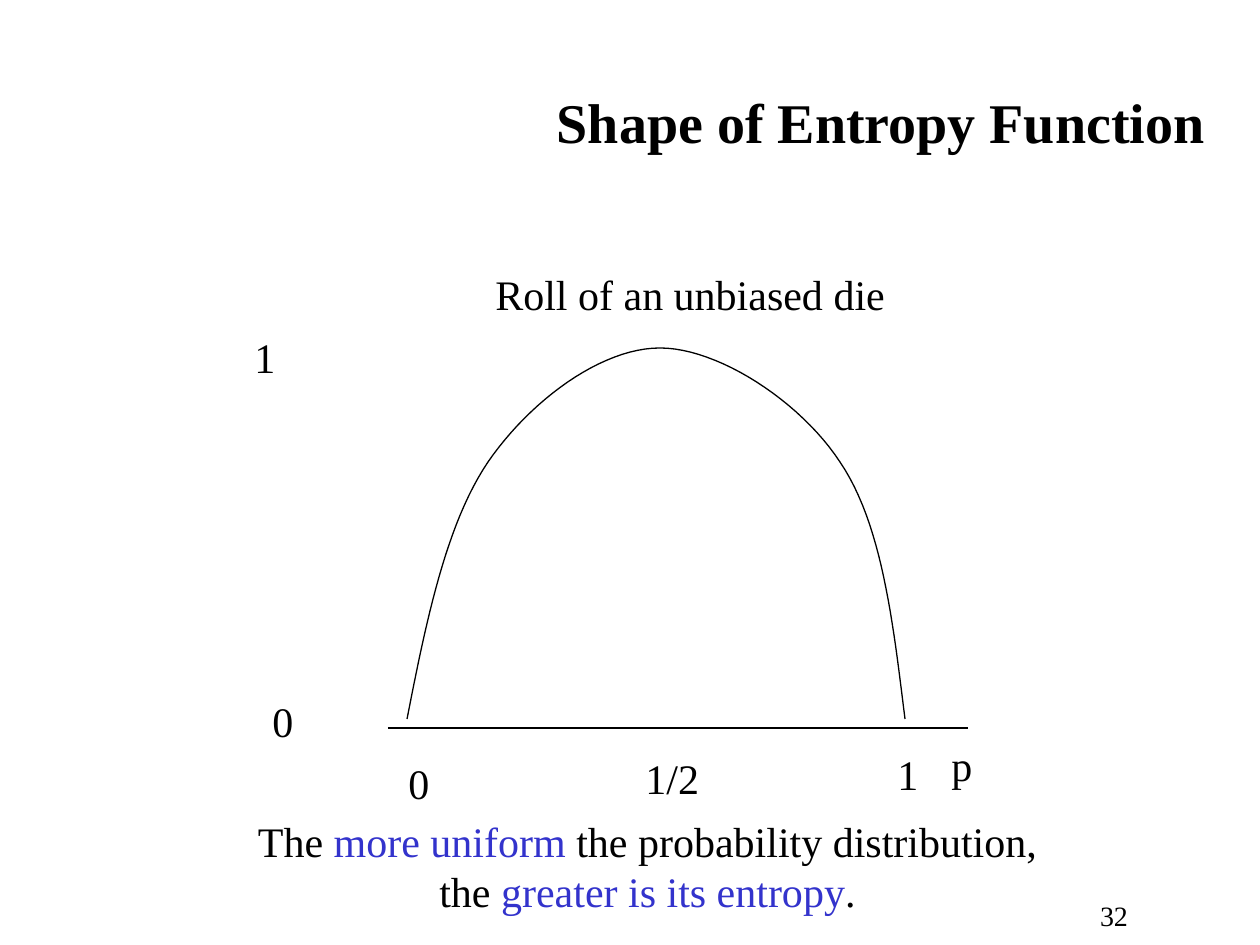
from lxml import etree
from pptx import Presentation
from pptx import util as u
from pptx.dml.color import RGBColor
from pptx.enum import shapes, text
from pptx.oxml.ns import qn

PX = 914400 / 126
FONT = "Times New Roman"
BLACK, BLUE = "000000", "3333CC"
LEFT, CENTER, RIGHT = text.PP_ALIGN.LEFT, text.PP_ALIGN.CENTER, text.PP_ALIGN.RIGHT


def px(length):
    """Convert pixels to EMU."""
    return u.Emu(round(length * PX))


def color(value):
    """Return the colour for a hex string."""
    return RGBColor.from_string(value)


def format_run(run, size, value=BLACK, bold=False):
    """Set the font, size, colour and weight of a run."""
    run.font.name, run.font.size, run.font.bold = FONT, u.Pt(size), bold
    run.font.color.rgb = color(value)


def format_line(shape):
    """Give a shape a thin black line."""
    shape.line.color.rgb = color(BLACK)
    shape.line.width = u.Pt(0.75)


def add_text(slide, box, lines, size=24, align=LEFT):
    """Add an unwrapped text box whose lines are lists of (text, colour)."""
    frame = slide.shapes.add_textbox(*map(px, box)).text_frame
    frame.word_wrap = False
    frame.auto_size = text.MSO_AUTO_SIZE.SHAPE_TO_FIT_TEXT
    for index, line in enumerate(lines):
        paragraph = frame.add_paragraph() if index else frame.paragraphs[0]
        paragraph.alignment = align
        for words, value in line:
            run = paragraph.add_run()
            run.text = words
            format_run(run, size, value)


def add_title(slide, box, words):
    """Place and format the title placeholder."""
    title = slide.shapes.title
    title.left, title.top, title.width, title.height = map(px, box)
    frame = title.text_frame
    frame.text = words
    frame.vertical_anchor = text.MSO_ANCHOR.MIDDLE
    paragraph = frame.paragraphs[0]
    paragraph.alignment = RIGHT
    format_run(paragraph.runs[0], 32, bold=True)


def bezier_points(start, segments, steps=24):
    """Return points along a chain of cubic Bézier segments."""
    points = [start]
    for first, second, end in segments:
        for step in range(1, steps + 1):
            t = step / steps
            weights = ((1 - t) ** 3, 3 * t * (1 - t) ** 2, 3 * t * t * (1 - t), t ** 3)
            corners = (start, first, second, end)
            points.append(tuple(sum(w * c[axis] for w, c in zip(weights, corners))
                                for axis in (0, 1)))
        start = end
    return points


def add_entropy_graph(slide, box):
    """Draw the entropy curve, its axis and the axis labels."""
    left, top, width, _ = box
    segments = [
        ((184, 297), (204, 199), (246, 137)),
        ((288, 76), (359, 23), (418, 23)),
        ((476, 23), (558, 76), (598, 137)),
        ((640, 199), (651, 297), (663, 394)),
    ]
    points = [(px(left + x), px(top + y)) for x, y in bezier_points((165, 394), segments)]
    builder = slide.shapes.build_freeform(*points[0], scale=1.0)
    builder.add_line_segments(points[1:], close=False)
    curve = builder.convert_to_shape()
    curve.shadow.inherit = False
    curve.fill.background()
    format_line(curve)

    axis_y = px(top + 403)
    axis = slide.shapes.add_connector(
        shapes.MSO_CONNECTOR.STRAIGHT, px(left + 146), axis_y, px(left + width - 18), axis_y)
    format_line(axis)
    etree.SubElement(axis._element.spPr, qn("a:effectLst"))

    labels = [("1", 0, 0, 47), ("0", 18, 364, 47), ("0", 154, 426, 47),
              ("1/2", 391, 421, 79), ("1", 643, 417, 47), ("p", 697, 408, 47)]
    for words, x, y, label_width in labels:
        add_text(slide, (left + x, top + y, label_width, 63), [[(words, BLACK)]])


def main():
    """Build and save the slide."""
    presentation = Presentation()
    presentation.slide_width, presentation.slide_height = px(1260), px(945)
    slide = presentation.slides.add_slide(presentation.slide_layouts[5])
    add_title(slide, (147, 42, 1071, 158), "Shape of Entropy Function")
    add_text(slide, (483, 262, 415, 63), [[("Roll of an unbiased die", BLACK)]])
    add_entropy_graph(slide, (242, 325, 744, 489))
    conclusion = [
        [("The ", BLACK), ("more uniform ", BLUE), ("the probability distribution, ", BLACK)],
        [("the ", BLACK), ("greater is its entropy", BLUE), (".", BLACK)],
    ]
    add_text(slide, (241, 809, 813, 115), conclusion, align=CENTER)
    add_text(slide, (1085, 892, 58, 47), [[("32", BLACK)]], size=16, align=CENTER)
    presentation.save("out.pptx")


if __name__ == "__main__":
    main()
